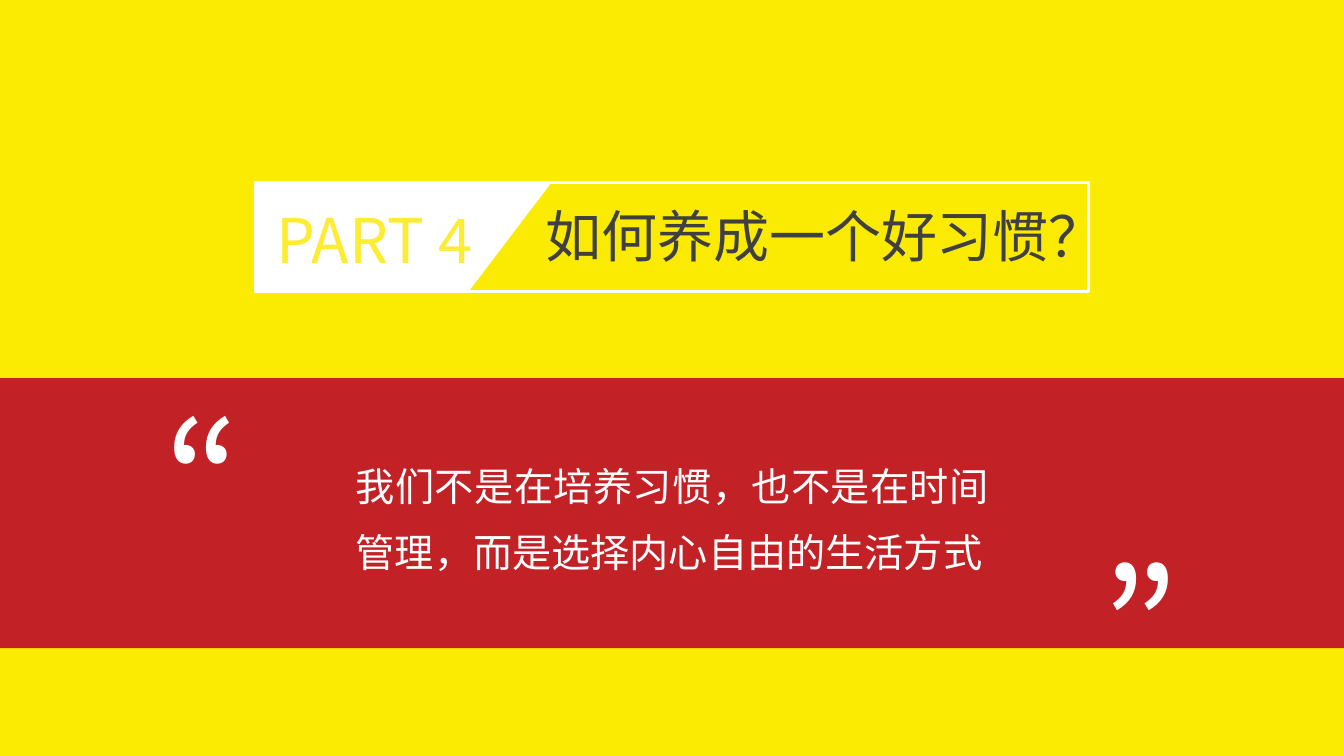
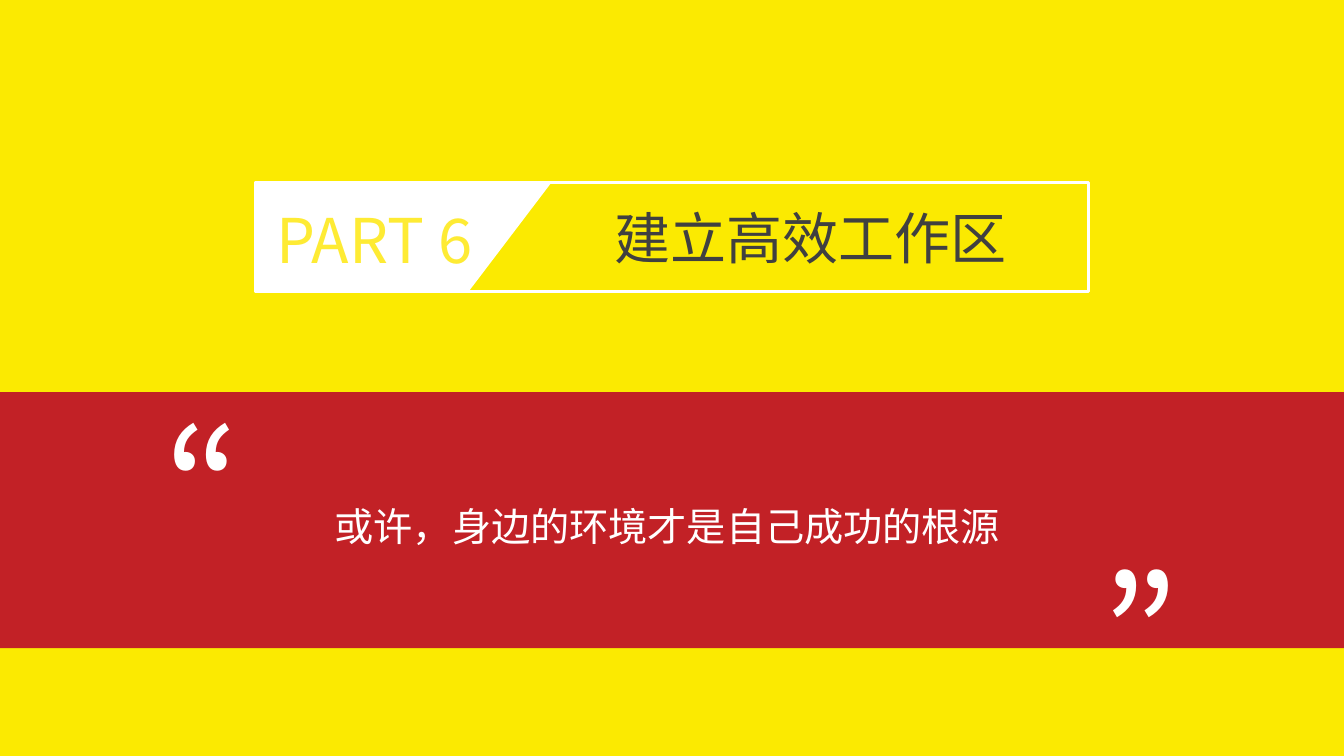
"""Build two section-divider slides, each with a part title and a quotation band."""
from dataclasses import dataclass

from pptx import Presentation
from pptx.dml.color import RGBColor
from pptx.enum.shapes import MSO_SHAPE
from pptx.enum.text import MSO_AUTO_SIZE, PP_ALIGN
from pptx.oxml.ns import qn
from pptx.shapes.autoshape import Shape
from pptx.slide import Slide
from pptx.util import Emu, Pt

EMU_PER_PX = 9144
SLIDE_W, SLIDE_H = 1333, 750
YELLOW, RED, WHITE = "FBEA01", "C22126", "FFFFFF"
LABEL_YELLOW, DARK = "FEEB34", "404040"
SANS, QUOTE_FONT = "Noto Sans CJK SC", "Noto Sans CJK JP"
FRAME_X, FRAME_Y, FRAME_W, FRAME_H = 253, 181, 827, 108
TAB_TOP_W, TAB_BOTTOM_W = 294, 212
BAND_BOTTOM = 643
QUOTE_W, QUOTE_H, QUOTE_DROP = 98, 204, 69
OPEN_X, CLOSE_X = 153, 1081


@dataclass(frozen=True)
class Box:
    x: int
    y: int
    w: int
    h: int


@dataclass(frozen=True)
class Style:
    size: int
    color: str
    font: str = SANS
    align: PP_ALIGN | None = None
    spacing: float | None = None


@dataclass(frozen=True)
class Section:
    label: str
    title: str
    title_box: Box
    saying: str
    saying_box: Box
    band_top: int
    quote_top: int


LABEL_STYLE = Style(44, LABEL_YELLOW)
TITLE_STYLE = Style(40, DARK)
SAYING_STYLE = Style(28, WHITE, align=PP_ALIGN.JUSTIFY, spacing=1.4)
QUOTE_STYLE = Style(115, WHITE, QUOTE_FONT)

SECTIONS = (
    Section("PART 4", "如何养成一个好习惯？", Box(531, 195, 632, 77),
            "我们不是在培养习惯，也不是在时间管理，而是选择内心自由的生活方式",
            Box(343, 435, 648, 142), 375, 373),
    Section("PART 6", "建立高效工作区", Box(600, 197, 632, 77),
            "或许，身边的环境才是自己成功的根源",
            Box(322, 475, 714, 76), 389, 380),
)


def px(n: int) -> Emu:
    return Emu(n * EMU_PER_PX)


def rgb(color: str) -> RGBColor:
    return RGBColor.from_string(color)


def place(box: Box) -> tuple[Emu, Emu, Emu, Emu]:
    return px(box.x), px(box.y), px(box.w), px(box.h)


def paint(sp: Shape, fill: str | None = None, line: str | None = None) -> None:
    sp.shadow.inherit = False
    if fill:
        sp.fill.solid()
        sp.fill.fore_color.rgb = rgb(fill)
    else:
        sp.fill.background()
    if line:
        sp.line.color.rgb = rgb(line)
        sp.line.width = Pt(2)
    else:
        sp.line.fill.background()


def add_rect(s: Slide, box: Box, fill: str | None = None, line: str | None = None) -> None:
    paint(s.shapes.add_shape(MSO_SHAPE.RECTANGLE, *place(box)), fill, line)


def add_text(s: Slide, box: Box, text: str, style: Style, rotation: int = 0) -> None:
    sp = s.shapes.add_textbox(*place(box))
    sp.rotation = rotation
    tf = sp.text_frame
    tf.word_wrap = True
    tf.auto_size = MSO_AUTO_SIZE.SHAPE_TO_FIT_TEXT
    tf.text = text
    p = tf.paragraphs[0]
    p.alignment = style.align
    p.line_spacing = style.spacing
    r = p.runs[0]
    r.font.size = Pt(style.size)
    r.font.name = style.font
    r.font.color.rgb = rgb(style.color)
    latin = r.font._element.find(qn("a:latin"))
    latin.addnext(latin.makeelement(qn("a:ea"), {"typeface": style.font}))


def add_label_tab(s: Slide) -> None:
    bottom = FRAME_Y + FRAME_H
    fb = s.shapes.build_freeform(FRAME_X, FRAME_Y, scale=EMU_PER_PX)
    fb.add_line_segments([(FRAME_X + TAB_TOP_W, FRAME_Y),
                          (FRAME_X + TAB_BOTTOM_W, bottom),
                          (FRAME_X, bottom)], close=True)
    paint(fb.convert_to_shape(), WHITE)


def add_section(prs: Presentation, section: Section) -> None:
    s = prs.slides.add_slide(prs.slide_layouts[6])
    s.background.fill.solid()
    s.background.fill.fore_color.rgb = rgb(YELLOW)
    add_rect(s, Box(0, section.band_top, SLIDE_W, BAND_BOTTOM - section.band_top), RED)
    add_rect(s, Box(FRAME_X, FRAME_Y, FRAME_W, FRAME_H), line=WHITE)
    add_label_tab(s)
    add_text(s, Box(264, 195, 272, 84), section.label, LABEL_STYLE)
    add_text(s, section.saying_box, section.saying, SAYING_STYLE)
    for x, drop, rotation in ((OPEN_X, 0, 0), (CLOSE_X, QUOTE_DROP, 180)):
        box = Box(x, section.quote_top + drop, QUOTE_W, QUOTE_H)
        add_text(s, box, "“", QUOTE_STYLE, rotation)
    add_text(s, section.title_box, section.title, TITLE_STYLE)


def main() -> None:
    prs = Presentation()
    prs.slide_width, prs.slide_height = px(SLIDE_W), px(SLIDE_H)
    for section in SECTIONS:
        add_section(prs, section)
    prs.save("out.pptx")


if __name__ == "__main__":
    main()
